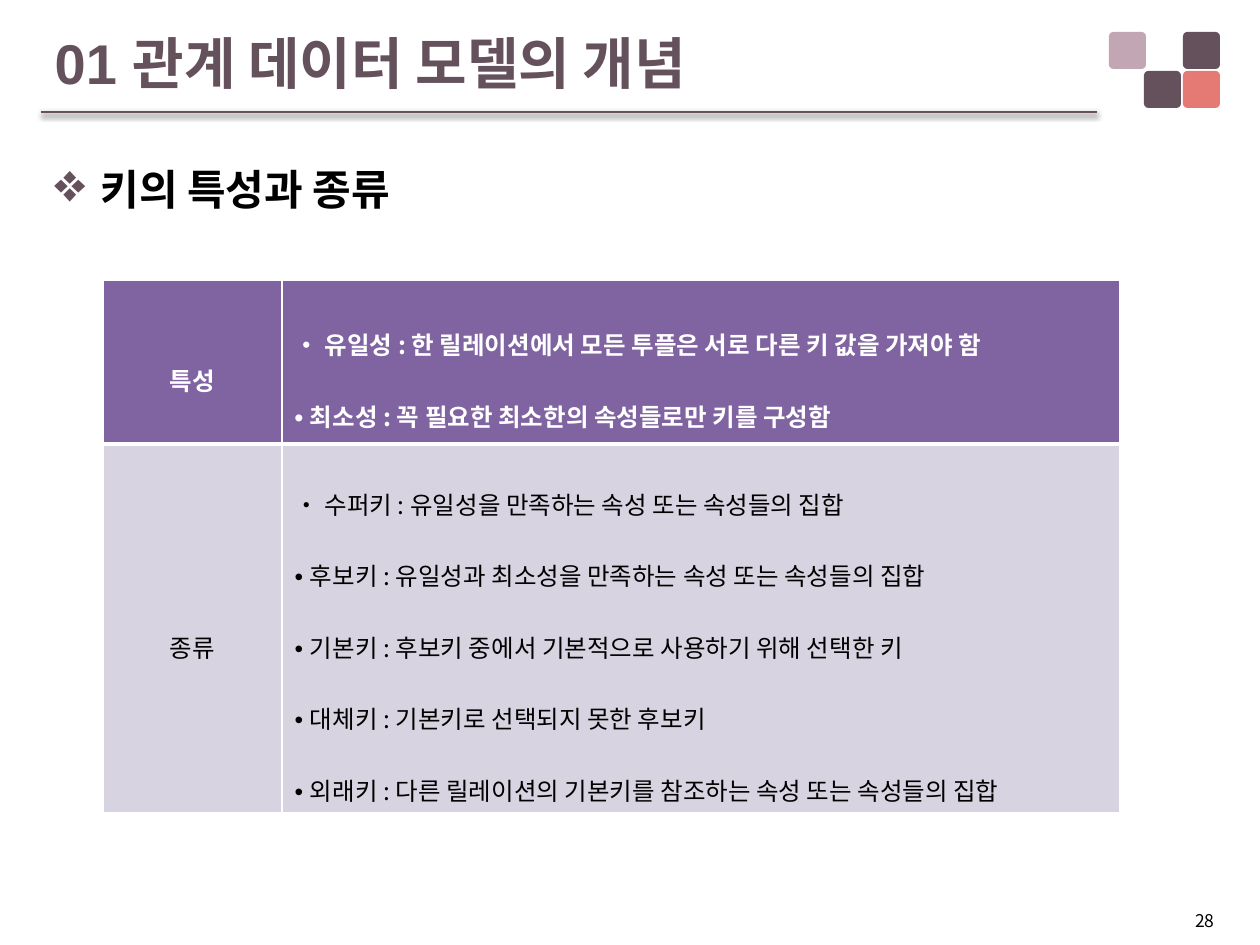
"""Build the slide on the properties and kinds of relational keys."""
from lxml.etree import SubElement
from pptx import Presentation
from pptx.dml.color import RGBColor
from pptx.enum.shapes import MSO_CONNECTOR, MSO_SHAPE
from pptx.enum.text import MSO_ANCHOR, MSO_AUTO_SIZE, PP_ALIGN
from pptx.oxml import parse_xml
from pptx.oxml.ns import nsdecls, qn
from pptx.util import Emu, Pt

C = {"plum": "64515B", "coral": "E57A74", "mauve": "C3A6B3", "purple": "8064A2",
     "lilac": "D8D3E0", "white": "FFFFFF", "black": "000000"}
KR = "Noto Sans CJK KR"


def px(*values):
    return [Emu(round(v * 914400 / 126)) for v in values]


def add_run(p, text, size, color, bold=False, font=KR, ea=KR):
    r = p.add_run()
    r.text = text
    r.font.size, r.font.bold, r.font.name = Pt(size), bold, font
    r.font.color.rgb = RGBColor.from_string(C[color])
    SubElement(r.font._element, qn("a:ea")).set("typeface", ea)


prs = Presentation()
prs.slide_width, prs.slide_height = px(1260, 945)
s = prs.slides.add_slide(prs.slide_layouts[5])

for x, y, color in [(1183, 32, "plum"), (1144, 71, "plum"),
                    (1183, 71, "coral"), (1109, 32, "mauve")]:
    sp = s.shapes.add_shape(MSO_SHAPE.ROUNDED_RECTANGLE, *px(x, y, 37, 37))
    sp.adjustments[0] = 0.12
    sp.fill.solid()
    sp.fill.fore_color.rgb = RGBColor.from_string(C[color])
    sp.line.fill.background()
    sp.shadow.inherit = False

rule = s.shapes.add_connector(MSO_CONNECTOR.STRAIGHT, *px(41, 112, 1097, 112))
rule.line.color.rgb = RGBColor.from_string(C["plum"])
rule.line.width = Pt(1.5)
rule._element.spPr.append(parse_xml(
    f'<a:effectLst {nsdecls("a")}><a:outerShdw blurRad="39370" dist="20320" dir="5400000">'
    f'<a:srgbClr val="{C["black"]}"><a:alpha val="38000"/></a:srgbClr>'
    '</a:outerShdw></a:effectLst>'))

title = s.shapes.title
title.left, title.top, title.width, title.height = px(42, 21, 1184, 82)
tf = title.text_frame
tf.auto_size, tf.vertical_anchor = MSO_AUTO_SIZE.NONE, MSO_ANCHOR.MIDDLE
p = tf.paragraphs[0]
p.alignment = PP_ALIGN.LEFT
add_run(p, "01 관계 데이터 모델의 개념", 32, "plum", True, "Arial")

tf = s.shapes.add_textbox(*px(42, 157, 1178, 764)).text_frame
tf.word_wrap = True
p = tf.paragraphs[0]
pPr = p._p.get_or_add_pPr()
indent = px(46)[0]
pPr.set("marL", str(indent))
pPr.set("indent", str(-indent))
SubElement(SubElement(pPr, qn("a:buClr")), qn("a:srgbClr")).set("val", C["plum"])
SubElement(pPr, qn("a:buSzPct")).set("val", "130000")
SubElement(pPr, qn("a:buChar")).set("char", "❖")
add_run(p, "키의 특성과 종류", 24, "black", True, "Arial")

rows = [
    ("특성", ["유일성 : 한 릴레이션에서 모든 투플은 서로 다른 키 값을 가져야 함",
            "최소성 : 꼭 필요한 최소한의 속성들로만 키를 구성함"]),
    ("종류", ["수퍼키 : 유일성을 만족하는 속성 또는 속성들의 집합",
            "후보키 : 유일성과 최소성을 만족하는 속성 또는 속성들의 집합",
            "기본키 : 후보키 중에서 기본적으로 사용하기 위해 선택한 키",
            "대체키 : 기본키로 선택되지 못한 후보키",
            "외래키 : 다른 릴레이션의 기본키를 참조하는 속성 또는 속성들의 집합"]),
]
looks = [("purple", "white", True, 3), ("lilac", "black", False, 1)]
table = s.shapes.add_table(2, 2, *px(103, 280, 1017, 533)).table
table.horz_banding = False
table.columns[0].width, table.columns[1].width = px(179, 838)
table.rows[0].height, table.rows[1].height = px(164, 369)

for i, (label, items) in enumerate(rows):
    fill, color, bold, bottom = looks[i]
    for j, lines in enumerate([[label], items]):
        cell = table.cell(i, j)
        cell.vertical_anchor = MSO_ANCHOR.MIDDLE
        tcPr = cell._tc.get_or_add_tcPr()
        top = looks[0][3] if i else 1
        for side, width in zip("LRTB", (1, 1, top, bottom)):
            ln = SubElement(tcPr, qn(f"a:ln{side}"), w=str(Pt(width)))
            SubElement(SubElement(ln, qn("a:solidFill")), qn("a:srgbClr")).set("val", C["white"])
        cell.fill.solid()
        cell.fill.fore_color.rgb = RGBColor.from_string(C[fill])
        tf = cell.text_frame
        for k, line in enumerate(lines):
            p = tf.add_paragraph() if k else tf.paragraphs[0]
            p.line_spacing = 2.0
            p.alignment = PP_ALIGN.LEFT if j else PP_ALIGN.CENTER
            if j:
                add_run(p, "• ", 14, color, bold, ea="Arial" if k else KR)
            add_run(p, line, 14, color, bold)

tf = s.shapes.add_textbox(*px(23, 904, 1204, 34)).text_frame
tf.word_wrap = True
tf.auto_size = MSO_AUTO_SIZE.SHAPE_TO_FIT_TEXT
p = tf.paragraphs[0]
p.alignment = PP_ALIGN.RIGHT
add_run(p, "28", 10, "black")

prs.save("out.pptx")
